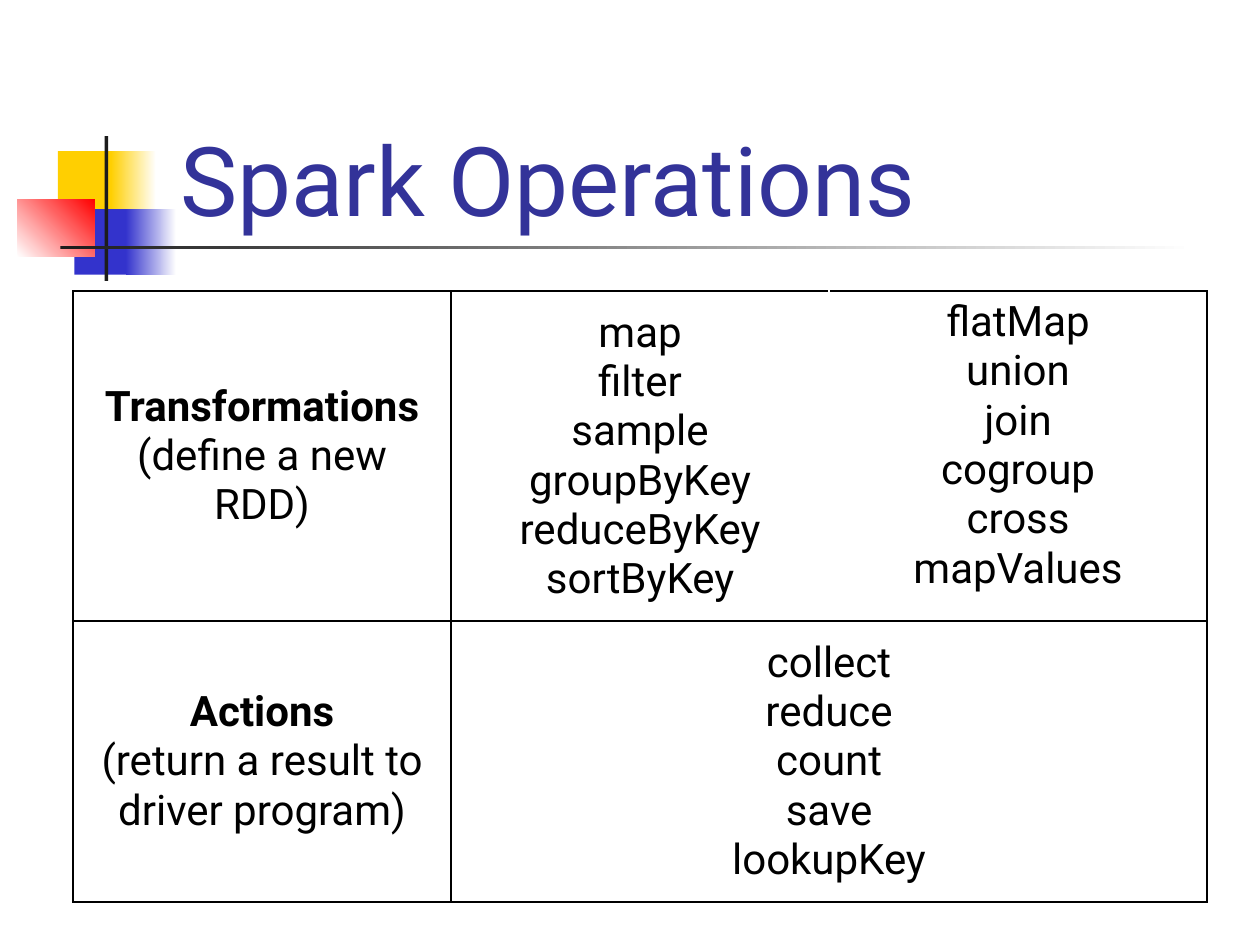
from lxml import etree
from pptx import Presentation
from pptx.dml.color import RGBColor
from pptx.enum import shapes, text
from pptx.oxml import ns
from pptx.util import Inches, Pt

FONT = "Roboto"
BLACK = RGBColor(0x00, 0x00, 0x00)
WHITE = RGBColor(0xFF, 0xFF, 0xFF)
YELLOW = RGBColor(0xFF, 0xCF, 0x01)
BLUE = RGBColor(0x33, 0x33, 0xCC)
RED = RGBColor(0xFF, 0x00, 0x00)
CHARCOAL = RGBColor(0x1C, 0x1C, 0x1C)
TITLE_BLUE = RGBColor(0x33, 0x33, 0x99)

# Left, top, width, height, start colour, end colour, angle
ORNAMENT = [
    (0.46, 1.2, 0.48, 0.52, YELLOW, None, 0),
    (0.88, 1.2, 0.36, 0.52, YELLOW, WHITE, 0),
    (0.59, 1.66, 0.46, 0.52, BLUE, None, 0),
    (1.0, 1.66, 0.4, 0.52, BLUE, WHITE, 0),
    (0.14, 1.58, 0.61, 0.46, WHITE, RED, 45),
    (0.83, 1.08, 0.03, 1.15, CHARCOAL, None, 0),
    (0.48, 1.95, 9, 0.03, CHARCOAL, WHITE, 0),
]

TRANSFORMATIONS = ["map", "filter", "sample", "groupByKey", "reduceByKey", "sortByKey"]
MORE_TRANSFORMATIONS = ["flatMap", "union", "join", "cogroup", "cross\vmapValues"]
ACTIONS = ["collect", "reduce", "count\vsave", "lookupKey"]


def add_block(slide, left, top, width, height, start, end, angle):
    block = slide.shapes.add_shape(
        shapes.MSO_SHAPE.RECTANGLE,
        Inches(left), Inches(top), Inches(width), Inches(height))
    block.shadow.inherit = False
    block.line.fill.background()
    if end is None:
        block.fill.solid()
        block.fill.fore_color.rgb = start
    else:
        block.fill.gradient()
        block.fill.gradient_angle = angle
        for stop, color, position in zip(block.fill.gradient_stops, (start, end), (0, 1)):
            stop.color.rgb = color
            stop.position = position


def format_run(run, size, color, bold=False):
    run.font.name = FONT
    run.font.size = Pt(size)
    run.font.color.rgb = color
    run.font.bold = bold


def set_title(slide, wording):
    title = slide.shapes.title
    title.left, title.top = Inches(1.33), Inches(0.67)
    title.width, title.height = Inches(9), Inches(1.25)
    frame = title.text_frame
    frame.text = wording
    frame.auto_size = text.MSO_AUTO_SIZE.NONE
    frame.vertical_anchor = text.MSO_ANCHOR.BOTTOM
    frame.paragraphs[0].alignment = text.PP_ALIGN.LEFT
    format_run(frame.paragraphs[0].runs[0], 55, TITLE_BLUE)


def set_borders(cell, left=BLACK, right=BLACK):
    properties = cell._tc.get_or_add_tcPr()
    for side, color in zip("LRTB", (left, right, BLACK, BLACK)):
        line = etree.SubElement(properties, ns.qn("a:ln" + side), w=str(Pt(1)))
        fill = etree.SubElement(line, ns.qn("a:solidFill"))
        etree.SubElement(fill, ns.qn("a:srgbClr"), val=str(color))


def fill_cell(cell, lines, heading=False, anchor=text.MSO_ANCHOR.MIDDLE):
    cell.text_frame.text = "\n".join(lines)
    cell.vertical_anchor = anchor
    for index, paragraph in enumerate(cell.text_frame.paragraphs):
        paragraph.alignment = text.PP_ALIGN.CENTER
        for run in paragraph.runs:
            format_run(run, 24, BLACK, bold=heading and index == 0)


def add_operations(slide):
    frame = slide.shapes.add_table(
        2, 3, Inches(0.58), Inches(2.31), Inches(9), Inches(4.85))
    table = frame.table
    table.first_row = False
    table.horz_banding = False
    for row, height in zip(table.rows, (2.62, 2.23)):
        row.height = Inches(height)
    table.cell(1, 1).merge(table.cell(1, 2))

    # The two lists of transformations share an invisible border
    hidden = {(0, 1): {"right": WHITE}, (0, 2): {"left": WHITE}}
    for row in range(2):
        for column in range(3):
            cell = table.cell(row, column)
            set_borders(cell, **hidden.get((row, column), {}))
            cell.fill.background()

    fill_cell(table.cell(0, 0), ["Transformations", "(define a new RDD)"], heading=True)
    fill_cell(table.cell(0, 1), TRANSFORMATIONS)
    fill_cell(table.cell(0, 2), MORE_TRANSFORMATIONS, anchor=text.MSO_ANCHOR.TOP)
    fill_cell(table.cell(1, 0), ["Actions", "(return a result to driver program)"], heading=True)
    fill_cell(table.cell(1, 1), ACTIONS)


def main():
    deck = Presentation()
    deck.slide_width, deck.slide_height = Inches(10), Inches(7.5)
    slide = deck.slides.add_slide(deck.slide_layouts[5])

    # Ornament beside the title
    for block in ORNAMENT:
        add_block(slide, *block)

    # Title and table of operations
    set_title(slide, "Spark Operations")
    add_operations(slide)
    deck.save("out.pptx")


main()
